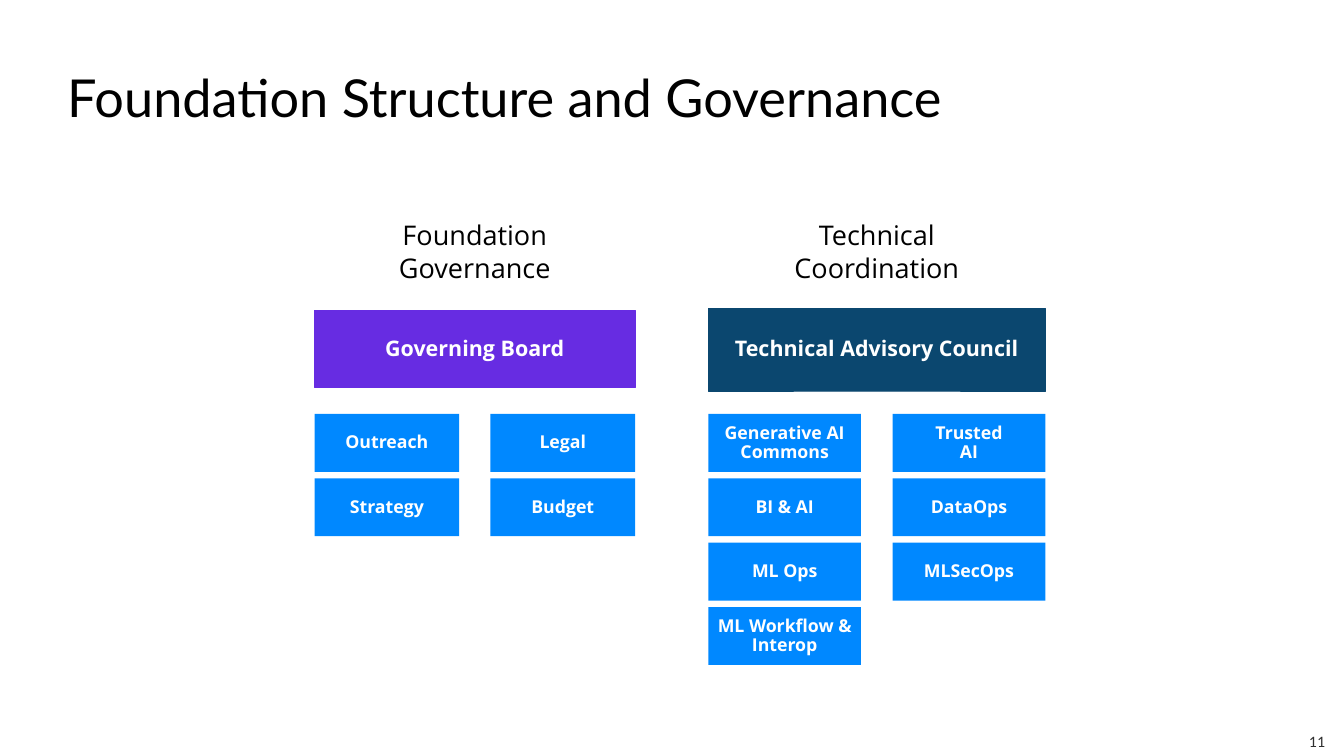
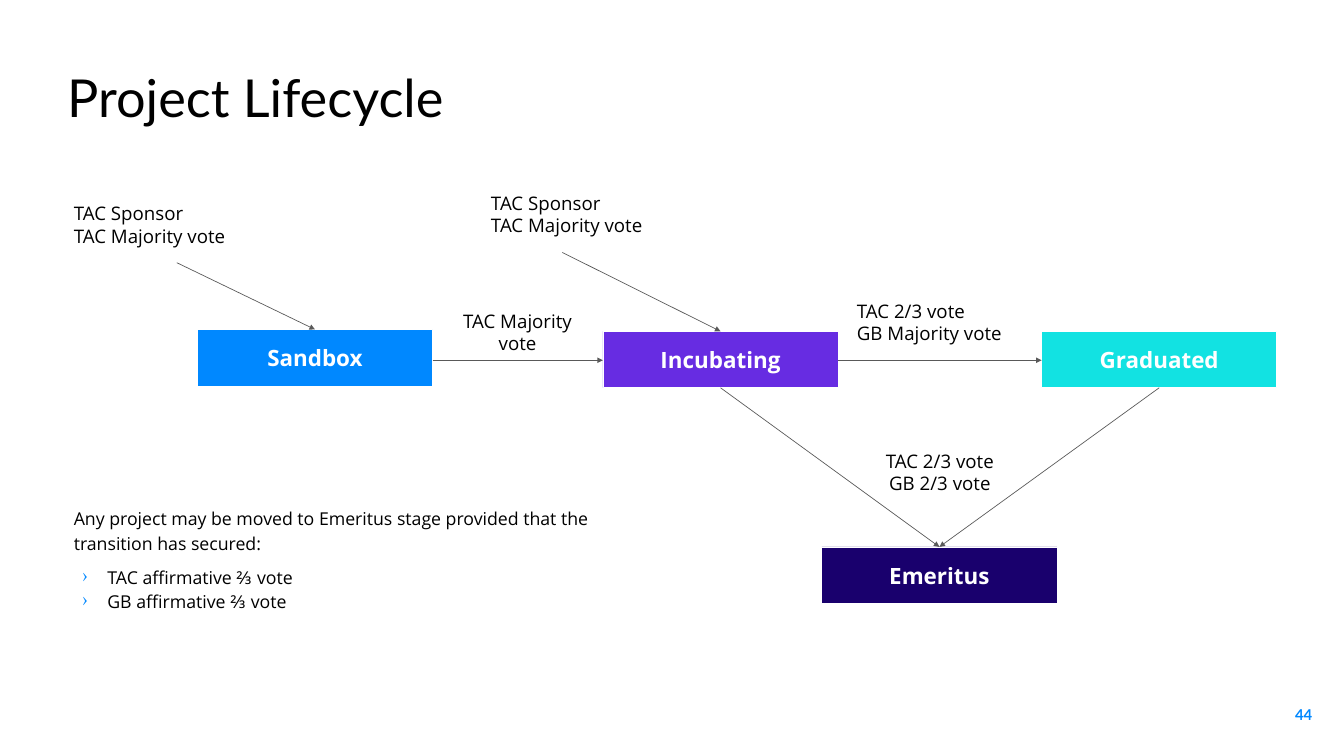
import pptx
import pptx.dml.color
import pptx.enum.shapes
import pptx.enum.text
import pptx.oxml
import pptx.oxml.ns
import pptx.util

Pt = pptx.util.Pt
ALIGN = pptx.enum.text.PP_ALIGN
ANCHOR = pptx.enum.text.MSO_ANCHOR

BLACK, WHITE, GREY, DARK = "000000", "FFFFFF", "595959", "2F2F2F"
BLUE, PURPLE, TEAL, CYAN, NAVY = "0088FF", "672CE2", "0B476F", "12E2E2", "19006D"
HEAD_FONT, BODY_FONT, NUMBER_FONT = "Lato", "Open Sans", "Calibri"


def rgb(value):
    return pptx.dml.color.RGBColor.from_string(value)


def add_xml(parent, tag, **attrs):
    el = pptx.oxml.parse_xml(f"<{tag} {pptx.oxml.ns.nsdecls('a')}/>")
    for name, value in attrs.items():
        el.set(name, str(value))
    parent.append(el)
    return el


class Deck:
    """Holds the style and the current slide."""

    def __init__(self):
        self.prs = pptx.Presentation()
        self.prs.slide_width, self.prs.slide_height = Pt(1440), Pt(810)
        self.slide = None

    def new_slide(self, title):
        self.slide = self.prs.slides.add_slide(self.prs.slide_layouts[6])
        self.text((72, 70, 1342, 90), [title], 56, font=HEAD_FONT, inset=(0, 0))

    def set_text(self, sp, lines, size, color, font, bold, align, anchor, inset,
                 spacing, bullets=()):
        tf = sp.text_frame
        tf.word_wrap = True
        tf.vertical_anchor = anchor
        tf.margin_left = tf.margin_right = Pt(inset[0])
        tf.margin_top = tf.margin_bottom = Pt(inset[1])
        for i, line in enumerate([*lines, *bullets]):
            p = tf.add_paragraph() if i else tf.paragraphs[0]
            p.text = line
            p.alignment = align
            if spacing:
                p.line_spacing = spacing
            if i >= len(lines):
                self.bullet(p)
            if i == len(lines):
                p.space_before = Pt(10)
            p.font.size = Pt(size)
            p.font.name = font
            p.font.bold = bold
            p.font.color.rgb = rgb(color)

    def text(self, rect, lines, size, color=BLACK, font=BODY_FONT, bold=False,
             align=ALIGN.LEFT, anchor=ANCHOR.TOP, inset=(7.2, 7.2), spacing=None,
             bullets=()):
        sp = self.slide.shapes.add_textbox(*map(Pt, rect))
        self.set_text(sp, lines, size, color, font, bold, align, anchor, inset,
                      spacing, bullets)

    def box(self, rect, lines, size, fill, line=None, inset=7.2, spacing=None):
        sp = self.slide.shapes.add_shape(
            pptx.enum.shapes.MSO_SHAPE.RECTANGLE, *map(Pt, rect))
        sp.shadow.inherit = False
        sp.fill.solid()
        sp.fill.fore_color.rgb = rgb(fill)
        if line:
            sp.line.color.rgb = rgb(line)
            sp.line.width = Pt(0.75)
        else:
            sp.line.fill.background()
        self.set_text(sp, lines, size, WHITE, BODY_FONT, True, ALIGN.CENTER,
                      ANCHOR.MIDDLE, (inset, inset), spacing)

    def arrow(self, start, end):
        sp = self.slide.shapes.add_connector(
            pptx.enum.shapes.MSO_CONNECTOR.STRAIGHT, *map(Pt, start + end))
        sp.line.color.rgb = rgb(GREY)
        sp.line.width = Pt(0.75)
        spPr = sp._element.spPr
        add_xml(spPr.find(pptx.oxml.ns.qn("a:ln")), "a:tailEnd", type="triangle")
        add_xml(spPr, "a:effectLst")

    def bullet(self, p):
        pPr = p._p.get_or_add_pPr()
        pPr.set("marL", str(Pt(36)))
        pPr.set("indent", str(Pt(-27)))
        add_xml(add_xml(pPr, "a:buClr"), "a:srgbClr", val=BLUE)
        add_xml(pPr, "a:buChar", char="›")

    def number(self, rect, value, size, color, font, bold, inset):
        self.text(rect, [value], size, color, font, bold, ALIGN.RIGHT, ANCHOR.MIDDLE, inset)


def governance(deck):
    deck.new_slide("Foundation Structure and Governance")
    deck.number((1387.5, 777.5, 43, 32.5), "11", 17, DARK, NUMBER_FONT, False, (10.8, 5))

    # Each branch: left, width, heading, top box (name, top, height, fill), group width, rows
    branches = [
        (337, 343.5, ["Foundation Governance"], ("Governing Board", 332.5, 83, PURPLE), 155,
         [(["Outreach"], ["Legal"]), (["Strategy"], ["Budget"])]),
        (759, 361, ["Technical", "Coordination"],
         ("Technical Advisory Council", 330.5, 88.5, TEAL), 163.5,
         [(["Generative AI Commons"], ["Trusted", "AI"]),
          (["BI & AI"], ["DataOps"]),
          (["ML Ops"], ["MLSecOps"]),
          (["ML Workflow & Interop"],)]),
    ]
    group_top, group_step, group_height = 443.5, 69, 62
    for left, width, heading, (name, top, height, fill), group_width, rows in branches:
        deck.text((left, 229.5, width, 101), heading, 29, align=ALIGN.CENTER, inset=(10.8, 5))
        deck.box((left, top, width, height), [name], 23, fill, fill, spacing=0.9)
        for i, row in enumerate(rows):
            for j, group in enumerate(row):
                deck.box((left + j * (width - group_width), group_top + i * group_step,
                          group_width, group_height), group, 19, BLUE, inset=6.5, spacing=0.9)


def lifecycle(deck):
    deck.new_slide("Project Lifecycle")
    deck.number((1334, 734.5, 86.5, 62), "44", 16, BLUE, HEAD_FONT, True, (14.4, 14.4))

    # Stages
    width, height = 252, 60.5
    stages = {
        "Sandbox": (211.5, 353, BLUE),
        "Incubating": (646, 355, PURPLE),
        "Graduated": (1116, 355, CYAN),
        "Emeritus": (880.5, 586, NAVY),
    }
    for name, (x, y, fill) in stages.items():
        deck.box((x, y, width, height), [name], 24, fill, WHITE)

    def top(name):
        x, y, _ = stages[name]
        return x + width / 2, y

    def bottom(name):
        x, y = top(name)
        return x, y + height

    # Transitions
    for source, target in [("Sandbox", "Incubating"), ("Incubating", "Graduated")]:
        deck.arrow((stages[source][0] + width, 386), (stages[target][0], 386))
    for source in ("Incubating", "Graduated"):
        deck.arrow(bottom(source), top("Emeritus"))
    deck.arrow((189.5, 281.5), top("Sandbox"))
    deck.arrow((602.5, 270.5), top("Incubating"))

    # Votes needed
    sponsor = ["TAC Sponsor", "TAC Majority vote"]
    for x, y, w, lines, align in [
        (72, 199.5, 235, sponsor, ALIGN.LEFT),
        (519, 188.5, 235, sponsor, ALIGN.LEFT),
        (458.5, 315, 192, ["TAC Majority", "vote"], ALIGN.CENTER),
        (911, 304, 192, ["TAC 2/3 vote", "GB Majority vote"], ALIGN.LEFT),
        (911, 464.5, 192, ["TAC 2/3 vote", "GB 2/3 vote"], ALIGN.CENTER),
    ]:
        deck.text((x, y, w, 82), lines, 20, align=align, anchor=ANCHOR.MIDDLE)

    # Emeritus rule
    deck.text(
        (72, 534, 643, 199.5),
        ["Any project may be moved to Emeritus stage provided that the transition has secured:"],
        19, spacing=1.15,
        bullets=["TAC affirmative ⅔ vote", "GB affirmative ⅔ vote"])


def main():
    deck = Deck()
    governance(deck)
    lifecycle(deck)
    deck.prs.save("out.pptx")


if __name__ == "__main__":
    main()
